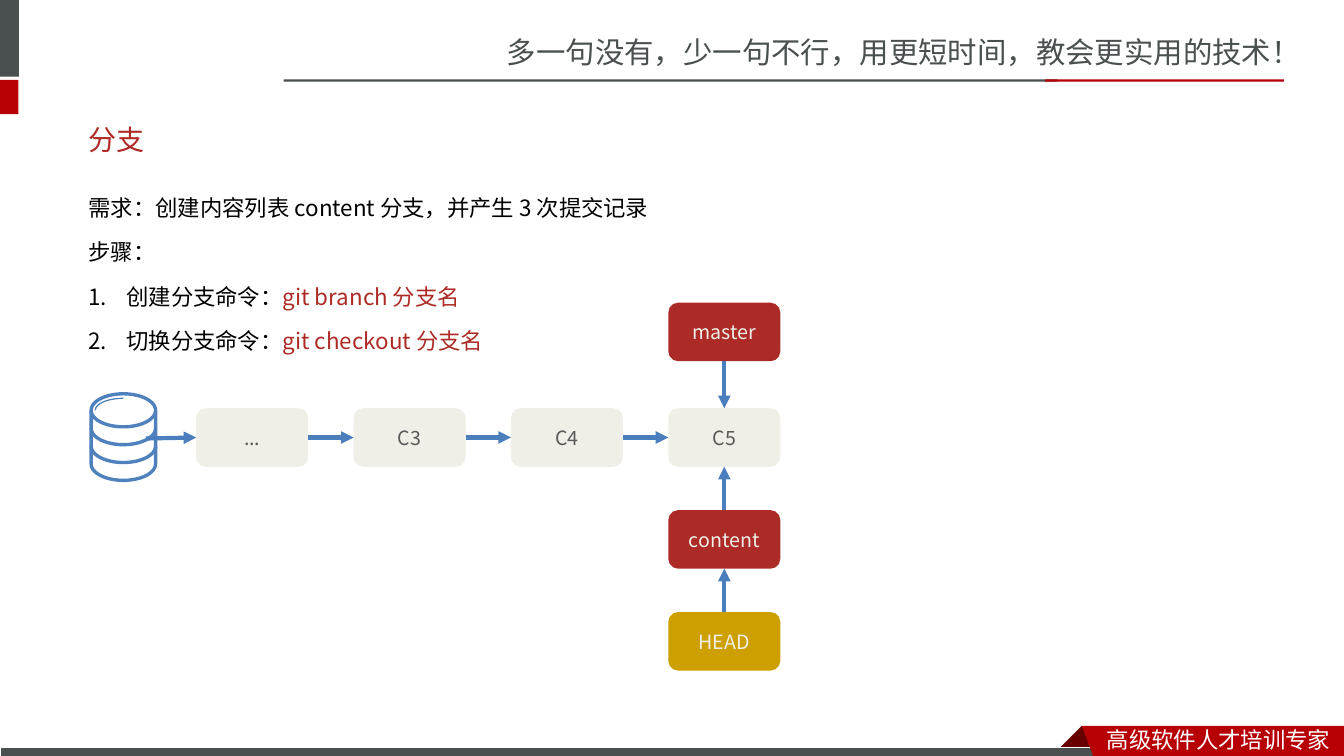
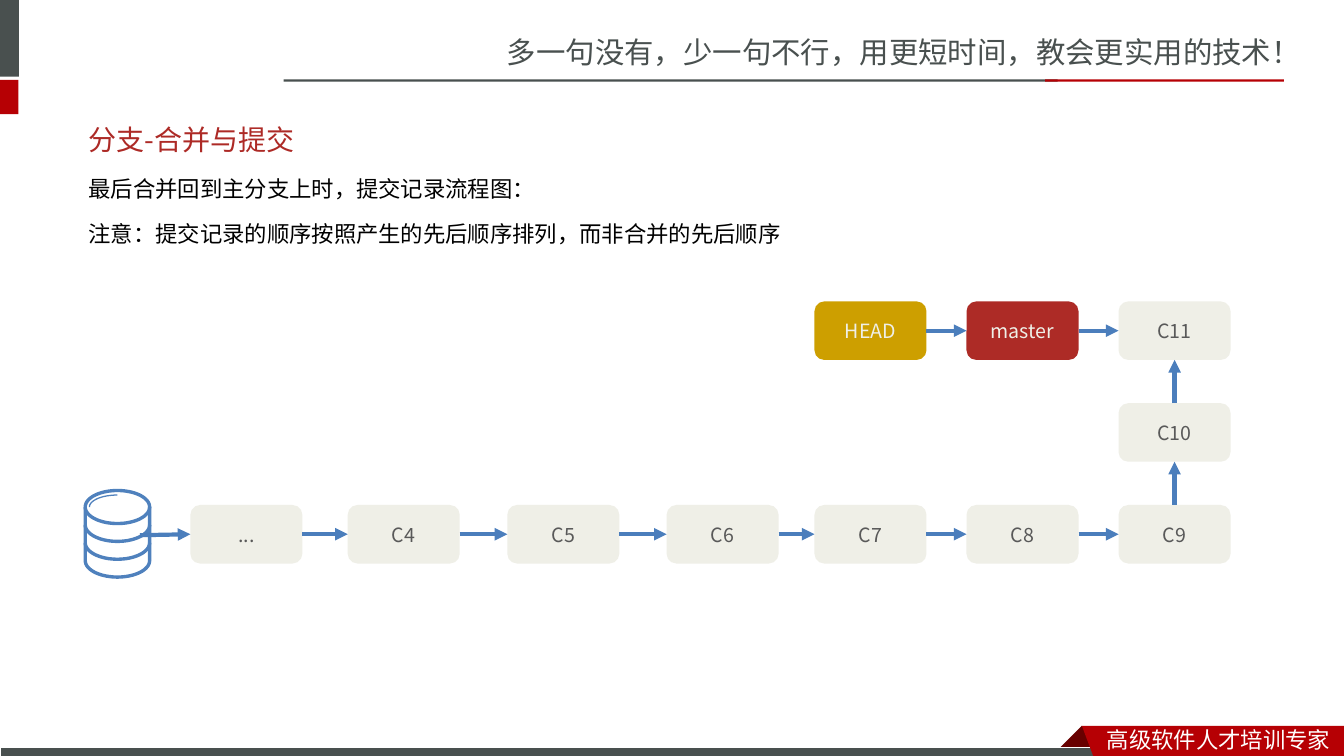
from dataclasses import dataclass
from math import cos, radians, sin

from lxml import etree
from pptx import Presentation
from pptx import util as u
from pptx.dml.color import RGBColor
from pptx.enum import shapes, text
from pptx.oxml.ns import qn

Pt = u.Pt


@dataclass(frozen=True)
class Theme:
    gray: str = "49504F"
    red: str = "B60004"
    fold: str = "680000"
    title: str = "AD2A26"
    accent: str = "AD2B26"
    gold: str = "CD9F00"
    pale: str = "EFEFE7"
    label: str = "595959"
    black: str = "000000"
    white: str = "FFFFFF"
    arrow: str = "4B7EBC"
    icon: str = "4F81BD"
    sans: str = "Noto Sans CJK JP"
    band: str = "Noto Sans CJK SC"
    slogan: float = 21
    head: float = 20
    body: float = 16
    node: float = 14


T = Theme()
KINDS = {
    "commit": (T.pale, T.label),
    "branch": (T.accent, T.pale),
    "head": (T.gold, T.pale),
}
NODE = (80, 41.8)


def rgb(code):
    return RGBColor.from_string(code)


def style(para, size, color, face=T.sans):
    """Set one font for Latin and East Asian text alike."""
    font = para.font
    font.size, font.name = Pt(size), face
    font.color.rgb = rgb(color)
    props = para._p.pPr.find(qn("a:defRPr"))
    etree.SubElement(props, qn("a:ea")).set("typeface", face)


def label(slide, box, words, size, color, face=T.sans):
    frame = slide.shapes.add_textbox(*map(Pt, box)).text_frame
    frame.word_wrap = True
    frame.vertical_anchor = text.MSO_ANCHOR.MIDDLE
    para = frame.paragraphs[0]
    para.text = words
    style(para, size, color, face)


def paint(shape, color, line=None):
    shape.shadow.inherit = False
    shape.fill.solid()
    shape.fill.fore_color.rgb = rgb(color)
    if line:
        shape.line.color.rgb = rgb(line)
        shape.line.width = Pt(0.75)
    else:
        shape.line.fill.background()


def block(slide, box, color, line=None, kind=shapes.MSO_SHAPE.RECTANGLE):
    shape = slide.shapes.add_shape(kind, *map(Pt, box))
    paint(shape, color, line)
    return shape


def trace(slide, strokes, close=False):
    """Draw each list of points as one contour of a freeform."""
    pen = None
    for stroke in strokes:
        dots = [(Pt(x), Pt(y)) for x, y in stroke]
        if pen is None:
            pen = slide.shapes.build_freeform(*dots[0])
        else:
            pen.move_to(*dots[0])
        pen.add_line_segments(dots[1:], close=close)
    return pen.convert_to_shape()


def banner(slide, x, y):
    """Place the slogan and its two-colour rule."""
    label(slide, (x + 152.5, y, 605, 33.8),
          "多一句没有，少一句不行，用更短时间，教会更实用的技术！",
          T.slogan, T.gray, T.band)
    block(slide, (x, y + 36.5, 553, 1.6), T.gray)
    block(slide, (x + 544, y + 36.5, 170.5, 1.6), T.red)


def footer(slide, x, y):
    """Place the bottom bar and the folded ribbon that starts at x, y."""
    fold = [(x, y), (x + 16, y + 16), (x + 15, y + 16.5),
            (x - 15, y + 16.5), (x - 16, y + 16)]
    paint(trace(slide, [fold], True), T.fold)
    block(slide, (0, y + 15.2, x + 19, 8.6), T.gray, T.white)
    ribbon = [(x, y), (960, y), (960, y + 24), (x + 9, y + 24)]
    paint(trace(slide, [ribbon], True), T.red)
    label(slide, (x + 10.8, y - 3.6, 176.4, 26.6), "高级软件人才培训专家",
          T.body, T.white, T.band)


def base(deck, title):
    slide = deck.slides.add_slide(deck.slide_layouts[6])
    banner(slide, 202.5, 20.2)
    block(slide, (0, 0, 13.5, 54.7), T.gray)
    block(slide, (0, 57, 13.2, 24.5), T.red)
    footer(slide, 772.8, 518.4)
    label(slide, (56.2, 79.2, 844, 41), title, T.head, T.title)
    return slide


def body(slide, x, y, lines):
    """Write lines of (words, command); a line with a command is numbered."""
    box = slide.shapes.add_textbox(Pt(x), Pt(y), Pt(844), Pt(34 * len(lines)))
    frame = box.text_frame
    frame.word_wrap = True
    for i, (words, command) in enumerate(lines):
        para = frame.add_paragraph() if i else frame.paragraphs[0]
        para.line_spacing, para.space_before = Pt(28.7), Pt(3.2)
        para.add_run().text = words
        style(para, T.body, T.black)
        if command:
            run = para.add_run()
            run.text = command
            run.font.color.rgb = rgb(T.accent)
            props = para._p.pPr
            props.set("marL", str(Pt(27)))
            props.set("indent", str(-Pt(27)))
            mark = etree.Element(qn("a:buAutoNum"), type="arabicPeriod")
            props.find(qn("a:defRPr")).addprevious(mark)


def arc(x, y, rx, ry, start, end):
    """Points on an ellipse; angles run clockwise from the right."""
    return [(x + rx * cos(radians(a)), y + ry * sin(radians(a)))
            for a in range(start, end + 1, 5)]


def store(slide, x, y):
    """Draw a database drum in a box 48.4 wide and 64.8 high."""
    mid, rx, ry = x + 24.2, 23, 11.8
    rims = [y + 13 + 12.75 * i for i in range(4)]
    sides = arc(mid, rims[0], rx, ry, 180, 360)
    sides += arc(mid, rims[-1], rx, ry, 0, 180) + sides[:1]
    arcs = [arc(mid, rim, rx, ry, 0, 180) for rim in rims[:-1]]
    shine = [arc(mid, rims[0], 20, 8.6, 180, 270)]
    for strokes, width in (([sides] + arcs, 2.4), (shine, 0.9)):
        shape = trace(slide, strokes)
        shape.shadow.inherit = False
        shape.fill.background()
        shape.line.color.rgb = rgb(T.icon)
        shape.line.width = Pt(width)


def node(slide, x, y, words, kind):
    fill, ink = KINDS[kind]
    shape = block(slide, (x, y, *NODE), fill,
                  kind=shapes.MSO_SHAPE.ROUNDED_RECTANGLE)
    frame = shape.text_frame
    frame.vertical_anchor = text.MSO_ANCHOR.MIDDLE
    para = frame.paragraphs[0]
    para.text = words
    para.alignment = text.PP_ALIGN.CENTER
    style(para, T.node, ink)
    return shape


def arrow(slide, start, goal):
    """Join two nodes, or a point and the left side of a node."""
    line = slide.shapes.add_connector(shapes.MSO_CONNECTOR.STRAIGHT, 0, 0, 0, 0)
    if isinstance(start, tuple):
        line.begin_x, line.begin_y = map(Pt, start)
        side = 1
    else:
        if abs(goal.left - start.left) > abs(goal.top - start.top):
            out, side = 3, 1
        else:
            out, side = (2, 0) if goal.top > start.top else (0, 2)
        line.begin_connect(start, out)
    line.end_connect(goal, side)
    line.line.color.rgb = rgb(T.arrow)
    line.line.width = Pt(3)
    etree.SubElement(line.line._get_or_add_ln(), qn("a:tailEnd"), type="triangle")
    etree.SubElement(line._element.spPr, qn("a:effectLst"))


def flow(slide, x, y, nodes, chains):
    """Place nodes (words, dx, dy, kind) from the first one at x, y."""
    store(slide, x - 76.3, y - 11.5)
    made = {words: node(slide, x + dx, y + dy, words, kind)
            for words, dx, dy, kind in nodes}
    arrow(slide, (x - 36, y + 21.6), made["..."])
    for chain in chains:
        for start, goal in zip(chain, chain[1:]):
            arrow(slide, made[start], made[goal])


def branch(deck):
    slide = base(deck, "分支")
    body(slide, 56.2, 125.3, [
        ("需求：创建内容列表 content 分支，并产生 3 次提交记录", ""),
        ("步骤：", ""),
        ("创建分支命令：", "git branch 分支名"),
        ("切换分支命令：", "git checkout 分支名"),
    ])
    step, row = 112.4, 72.8
    trunk = ["...", "C3", "C4", "C5"]
    last = step * 3
    nodes = [(words, step * i, 0, "commit") for i, words in enumerate(trunk)]
    nodes += [("master", last, -75.4, "branch"), ("content", last, row, "branch"),
              ("HEAD", last, row * 2, "head")]
    flow(slide, 140.2, 291.6, nodes,
         [trunk, ["master", "C5"], ["HEAD", "content", "C5"]])


def merge(deck):
    slide = base(deck, "分支-合并与提交")
    body(slide, 56.2, 112.3, [
        ("最后合并回到主分支上时，提交记录流程图：", ""),
        ("注意：提交记录的顺序按照产生的先后顺序排列，而非合并的先后顺序", ""),
    ])
    trunk = ["...", "C4", "C5", "C6", "C7", "C8", "C9"]
    cols = [0, 112.4, 226.4, 340.2, 445.8, 554.4, 663]
    row = -72.7
    nodes = [(words, dx, 0, "commit") for words, dx in zip(trunk, cols)]
    nodes += [("C10", cols[6], row, "commit"), ("C11", cols[6], row * 2, "commit"),
              ("master", cols[5], row * 2, "branch"),
              ("HEAD", cols[4], row * 2, "head")]
    flow(slide, 136, 360.7, nodes,
         [trunk + ["C10", "C11"], ["HEAD", "master", "C11"]])


def main():
    deck = Presentation()
    deck.slide_width, deck.slide_height = Pt(960), Pt(540)
    branch(deck)
    merge(deck)
    deck.save("out.pptx")


if __name__ == "__main__":
    main()
